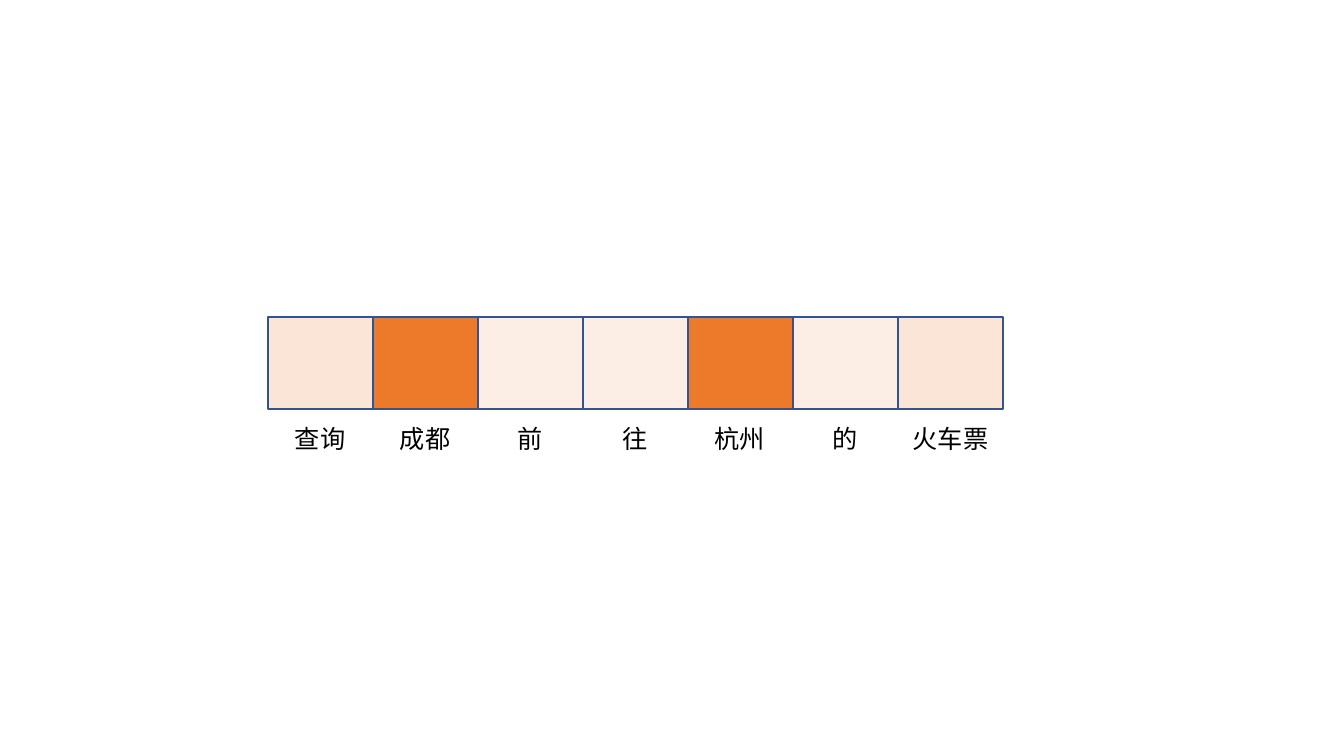
from dataclasses import dataclass

from lxml.etree import SubElement
from pptx import Presentation
from pptx.dml.color import RGBColor
from pptx.enum.shapes import MSO_SHAPE
from pptx.enum.text import MSO_AUTO_SIZE, PP_ALIGN
from pptx.oxml.ns import qn
from pptx.slide import Slide
from pptx.util import Emu, Pt

FONT = "Noto Sans CJK SC"
BLACK = RGBColor(0x00, 0x00, 0x00)
BORDER = RGBColor(0x32, 0x54, 0x91)
STRONG = RGBColor(0xED, 0x7A, 0x2B)
MEDIUM = RGBColor(0xFB, 0xE5, 0xD6)
WEAK = RGBColor(0xFC, 0xEE, 0xE4)

ROW_LEFT, ROW_TOP = 268, 317
CELL_W, CELL_H = 105, 92
LABEL_TOP, LABEL_H = 418, 40


@dataclass(frozen=True)
class Token:
    word: str
    color: RGBColor
    label_w: int = 84


TOKENS = [
    Token("查询", MEDIUM),
    Token("成都", STRONG),
    Token("前", WEAK),
    Token("往", WEAK),
    Token("杭州", STRONG),
    Token("的", WEAK),
    Token("火车票", MEDIUM, CELL_W),
]


def px(n: int) -> Emu:
    return Emu(round(n * 914400 / 100.8))


def add_cell(s: Slide, left: int, color: RGBColor) -> None:
    sp = s.shapes.add_shape(
        MSO_SHAPE.RECTANGLE, px(left), px(ROW_TOP), px(CELL_W), px(CELL_H)
    )
    sp.shadow.inherit = False
    sp.fill.solid()
    sp.fill.fore_color.rgb = color
    sp.line.color.rgb = BORDER
    sp.line.width = Pt(1)


def add_label(s: Slide, left: int, token: Token) -> None:
    inset = (CELL_W - token.label_w) // 2
    sp = s.shapes.add_textbox(
        px(left + inset), px(LABEL_TOP), px(token.label_w), px(LABEL_H)
    )
    tf = sp.text_frame
    tf.word_wrap = True
    tf.auto_size = MSO_AUTO_SIZE.SHAPE_TO_FIT_TEXT
    p = tf.paragraphs[0]
    p.alignment = PP_ALIGN.CENTER
    r = p.add_run()
    r.text = token.word
    r.font.size = Pt(18)
    r.font.color.rgb = BLACK
    r.font.name = FONT
    SubElement(r._r.get_or_add_rPr(), qn("a:ea"), typeface=FONT)


def main() -> None:
    prs = Presentation()
    prs.slide_width, prs.slide_height = px(1344), px(756)
    s = prs.slides.add_slide(prs.slide_layouts[6])
    for i, token in enumerate(TOKENS):
        left = ROW_LEFT + i * CELL_W
        add_cell(s, left, token.color)
        add_label(s, left, token)
    prs.save("out.pptx")


if __name__ == "__main__":
    main()
